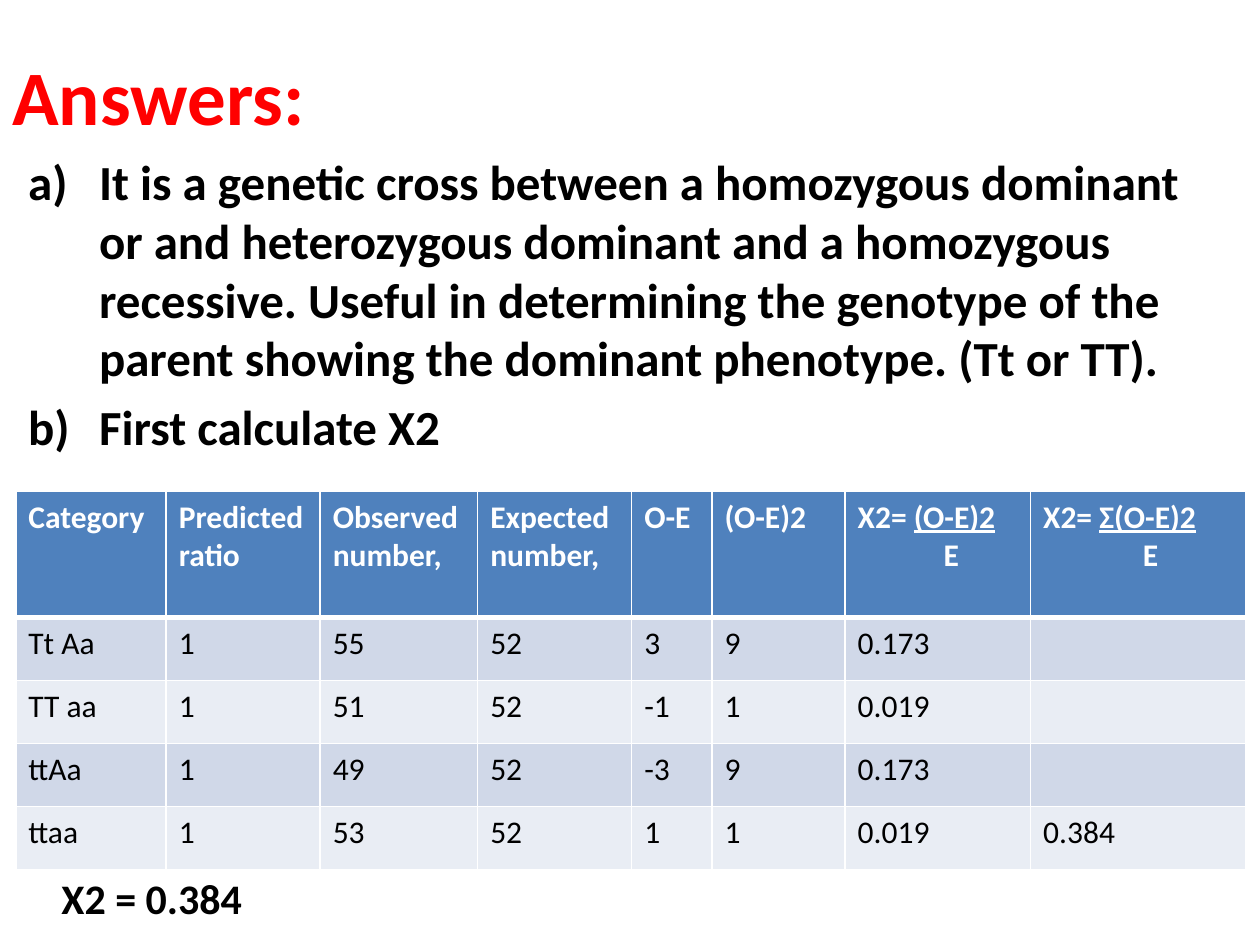
import pptx
import pptx.dml.color
import pptx.enum.text
import pptx.oxml
import pptx.oxml.ns
import pptx.util

Pt = pptx.util.Pt

THEME = {
    "font": "Calibri",
    "red": "FF0000", "black": "000000", "white": "FFFFFF",
    "header": "4F81BD", "bands": ("D0D8E8", "E9EDF4"),
    "title": 44, "body": 28, "result": 24, "cell": 18,
}

TITLE = "Answers:"
ANSWERS = [
    "It is a genetic cross between a homozygous dominant or and heterozygous "
    "dominant and a homozygous recessive. Useful in determining the genotype of "
    "the parent showing the dominant phenotype. (Tt or TT).",
    "First calculate X2",
]
RESULT = "X2 = 0.384"

# Each header is a list of lines: (indent, plain text, underlined text)
HEADERS = [
    [(0, "Category", "")],
    [(0, "Predicted ratio", "")],
    [(0, "Observed number,", "")],
    [(0, "Expected", ""), (0, "number,", "")],
    [(0, "O-E", "")],
    [(0, "(O-E)2", "")],
    [(0, "X2= ", "(O-E)2"), (49, "E", "")],
    [(0, "X2= ", "Σ(O-E)2"), (57, "E", "")],
]
ROWS = [
    ["Tt Aa", "1", "55", "52", "3", "9", "0.173", ""],
    ["TT aa", "1", "51", "52", "-1", "1", "0.019", ""],
    ["ttAa", "1", "49", "52", "-3", "9", "0.173", ""],
    ["ttaa", "1", "53", "52", "1", "1", "0.019", "0.384"],
]
COLUMN_WIDTHS = [86, 88, 90, 88, 46, 76, 106, 123]
HEADER_HEIGHT, ROW_HEIGHT = 72, 36


def rgb(value):
    return pptx.dml.color.RGBColor.from_string(value)


def add_run(p, text, size, color, bold=True, underline=False):
    r = p.add_run()
    r.text = text
    r.font.name = THEME["font"]
    r.font.size = Pt(size)
    r.font.bold = bold
    r.font.underline = underline
    r.font.color.rgb = rgb(color)


def add_box(slide, left, top, width, height):
    tf = slide.shapes.add_textbox(Pt(left), Pt(top), Pt(width), Pt(height)).text_frame
    tf.word_wrap = True
    return tf


def next_paragraph(tf, i):
    return tf.paragraphs[0] if i == 0 else tf.add_paragraph()


def indent(p, left, first=0):
    pPr = p._p.get_or_add_pPr()
    pPr.set("marL", str(Pt(left)))
    pPr.set("indent", str(Pt(first)))
    return pPr


def style_cell(cell, fill, bottom):
    """Give the cell white borders, then its fill, in schema order."""
    tcPr = cell._tc.get_or_add_tcPr()
    for side, width in (("L", 1), ("R", 1), ("T", 1), ("B", bottom)):
        tcPr.append(pptx.oxml.parse_xml(
            f'<a:ln{side} {pptx.oxml.ns.nsdecls("a")} w="{Pt(width)}"><a:solidFill>'
            f'<a:srgbClr val="{THEME["white"]}"/></a:solidFill></a:ln{side}>'))
    cell.fill.solid()
    cell.fill.fore_color.rgb = rgb(fill)


def add_results_table(slide, left, top):
    height = HEADER_HEIGHT + ROW_HEIGHT * len(ROWS)
    table = slide.shapes.add_table(
        len(ROWS) + 1, len(HEADERS), Pt(left), Pt(top),
        Pt(sum(COLUMN_WIDTHS)), Pt(height)).table
    for column, width in zip(table.columns, COLUMN_WIDTHS):
        column.width = Pt(width)
    for i, row in enumerate(table.rows):
        row.height = Pt(ROW_HEIGHT if i else HEADER_HEIGHT)

    for c, lines in enumerate(HEADERS):
        cell = table.cell(0, c)
        style_cell(cell, THEME["header"], 3)
        for i, (left_indent, plain, underlined) in enumerate(lines):
            p = next_paragraph(cell.text_frame, i)
            if left_indent:
                indent(p, left_indent)
            add_run(p, plain, THEME["cell"], THEME["white"])
            if underlined:
                add_run(p, underlined, THEME["cell"], THEME["white"], underline=True)

    for i, values in enumerate(ROWS):
        for c, value in enumerate(values):
            cell = table.cell(i + 1, c)
            style_cell(cell, THEME["bands"][i % 2], 1)
            if value:
                add_run(cell.text_frame.paragraphs[0], value,
                        THEME["cell"], THEME["black"], bold=False)


def main():
    prs = pptx.Presentation()
    prs.slide_width, prs.slide_height = Pt(720), Pt(540)
    slide = prs.slides.add_slide(prs.slide_layouts[6])

    tf = add_box(slide, 0, 9, 648, 90)
    tf.vertical_anchor = pptx.enum.text.MSO_ANCHOR.MIDDLE
    add_run(tf.paragraphs[0], TITLE, THEME["title"], THEME["red"])

    tf = add_box(slide, 9, 83, 686, 356)
    for i, answer in enumerate(ANSWERS):
        p = next_paragraph(tf, i)
        p.space_before = Pt(THEME["body"] * 0.2)
        indent(p, 40.5, -40.5).append(pptx.oxml.parse_xml(
            f'<a:buAutoNum {pptx.oxml.ns.nsdecls("a")} type="alphaLcParenR"/>'))
        add_run(p, answer, THEME["body"], THEME["black"])

    add_results_table(slide, 9, 281)

    p = add_box(slide, 22.5, 495, 669, 36).paragraphs[0]
    indent(p, 5.5)
    add_run(p, RESULT, THEME["result"], THEME["black"])

    prs.save("out.pptx")


if __name__ == "__main__":
    main()
